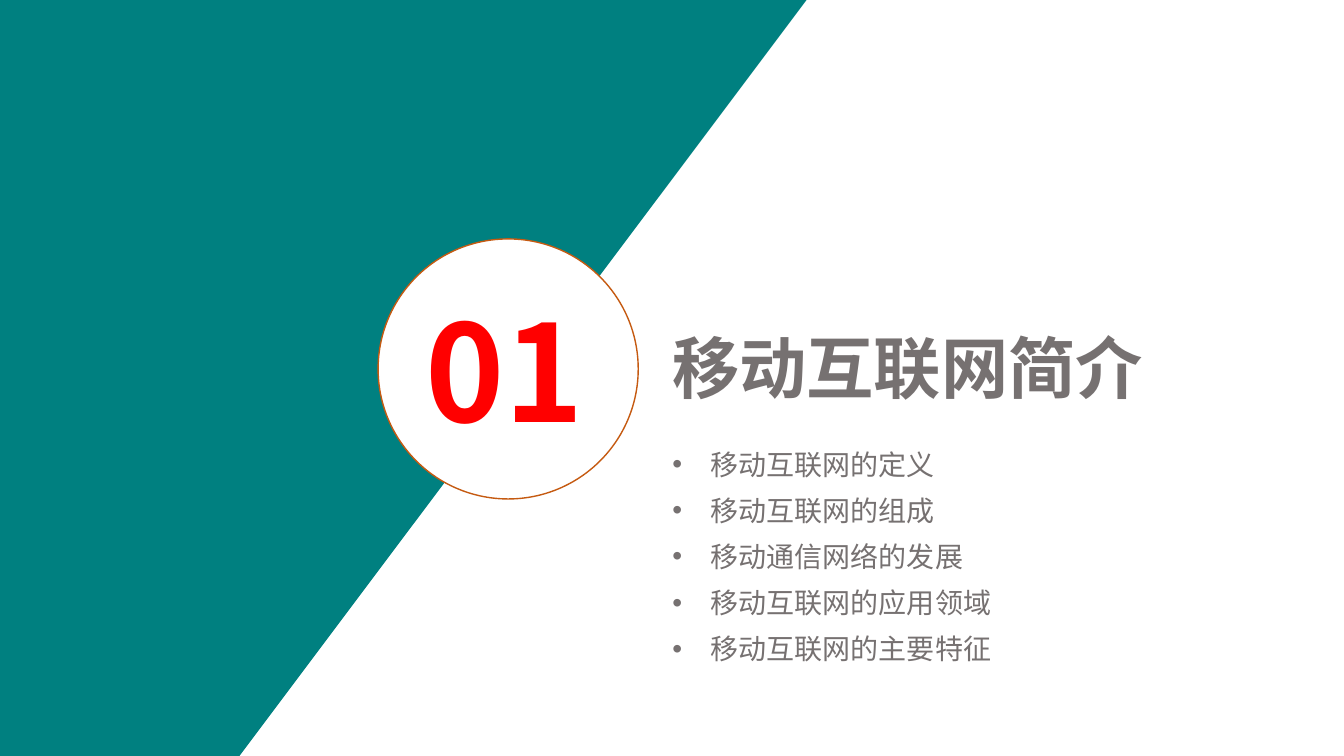
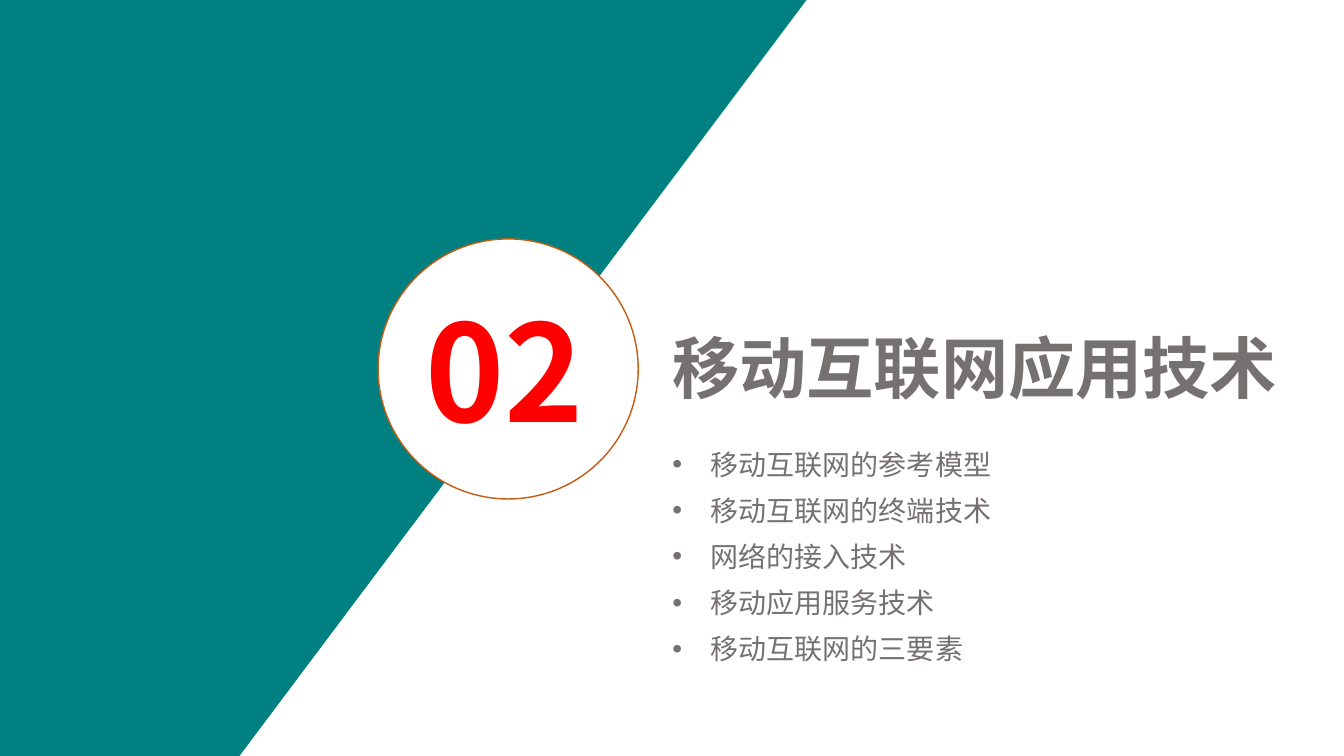
from dataclasses import dataclass

from lxml import etree
from pptx import Presentation
from pptx.dml.color import RGBColor
from pptx.enum import shapes, text
from pptx.oxml.ns import qn
from pptx.util import Inches, Pt


@dataclass(frozen=True)
class Theme:
    font: str = "Noto Sans CJK SC"
    band: str = "008080"
    disc: str = "FFFFFF"
    ring: str = "C55A11"
    number: str = "FF0000"
    ink: str = "767171"
    number_size: int = 96
    title_size: int = 48
    topic_size: int = 20


THEME = Theme()
SLIDE_WIDTH, SLIDE_HEIGHT = 13.33, 7.5
TEXT_LEFT = 6.57
TOPIC_TOP, TOPIC_WIDTH, TOPIC_STEP = 4.39, 4.06, 0.457
TOPIC_INDENT = 0.38

SECTIONS = [
    ("01", "移动互联网简介", 5.62, [
        "移动互联网的定义",
        "移动互联网的组成",
        "移动通信网络的发展",
        "移动互联网的应用领域",
        "移动互联网的主要特征",
    ]),
    ("02", "移动互联网应用技术", 6.42, [
        "移动互联网的参考模型",
        "移动互联网的终端技术",
        "网络的接入技术",
        "移动应用服务技术",
        "移动互联网的三要素",
    ]),
]


def paint(shape, fill, line=None):
    shape.shadow.inherit = False
    shape.fill.solid()
    shape.fill.fore_color.rgb = RGBColor.from_string(fill)
    if line:
        shape.line.color.rgb = RGBColor.from_string(line)
        shape.line.width = Pt(1)
    else:
        shape.line.fill.background()


def add_bullet(paragraph, indent):
    properties = paragraph._p.get_or_add_pPr()
    properties.set("marL", str(Inches(indent)))
    properties.set("indent", str(-Inches(indent)))
    etree.SubElement(properties, qn("a:buFont")).set("typeface", "Arial")
    etree.SubElement(properties, qn("a:buChar")).set("char", "•")


def add_text(slide, words, left, top, width, height, *, size, color,
             bold=False, bullet_indent=None):
    box = slide.shapes.add_textbox(
        Inches(left), Inches(top), Inches(width), Inches(height))
    frame = box.text_frame
    frame.word_wrap = True
    frame.auto_size = text.MSO_AUTO_SIZE.SHAPE_TO_FIT_TEXT
    paragraph = frame.paragraphs[0]
    if bullet_indent:
        add_bullet(paragraph, bullet_indent)
    run = paragraph.add_run()
    run.text = words
    run.font.size = Pt(size)
    run.font.bold = bold
    run.font.color.rgb = RGBColor.from_string(color)
    run.font.name = THEME.font
    # Chinese characters take their typeface from the East Asian setting.
    east_asian = etree.SubElement(run._r.get_or_add_rPr(), qn("a:ea"))
    east_asian.set("typeface", THEME.font)


def add_slanted_band(slide):
    outline = slide.shapes.build_freeform(0, 0, scale=Inches(1))
    outline.add_line_segments(
        [(7.93, 0), (2.38, SLIDE_HEIGHT), (0, SLIDE_HEIGHT)], close=True)
    paint(outline.convert_to_shape(), THEME.band)


def add_number_disc(slide, number):
    disc = slide.shapes.add_shape(
        shapes.MSO_SHAPE.OVAL,
        Inches(3.75), Inches(2.37), Inches(2.58), Inches(2.58))
    paint(disc, THEME.disc, THEME.ring)
    add_text(slide, number, 4.12, 2.81, 1.9, 1.81,
             size=THEME.number_size, color=THEME.number, bold=True)


def add_topics(slide, topics):
    for row, topic in enumerate(topics):
        add_text(slide, topic, TEXT_LEFT, TOPIC_TOP + row * TOPIC_STEP,
                 TOPIC_WIDTH, 0.46, size=THEME.topic_size, color=THEME.ink,
                 bullet_indent=TOPIC_INDENT)


def add_section(deck, number, title, title_width, topics):
    slide = deck.slides.add_slide(deck.slide_layouts[6])
    add_slanted_band(slide)
    add_number_disc(slide, number)
    add_text(slide, title, TEXT_LEFT, 3.19, title_width, 0.96,
             size=THEME.title_size, color=THEME.ink, bold=True)
    add_topics(slide, topics)


def main():
    deck = Presentation()
    deck.slide_width = Inches(SLIDE_WIDTH)
    deck.slide_height = Inches(SLIDE_HEIGHT)
    for section in SECTIONS:
        add_section(deck, *section)
    deck.save("out.pptx")


if __name__ == "__main__":
    main()
